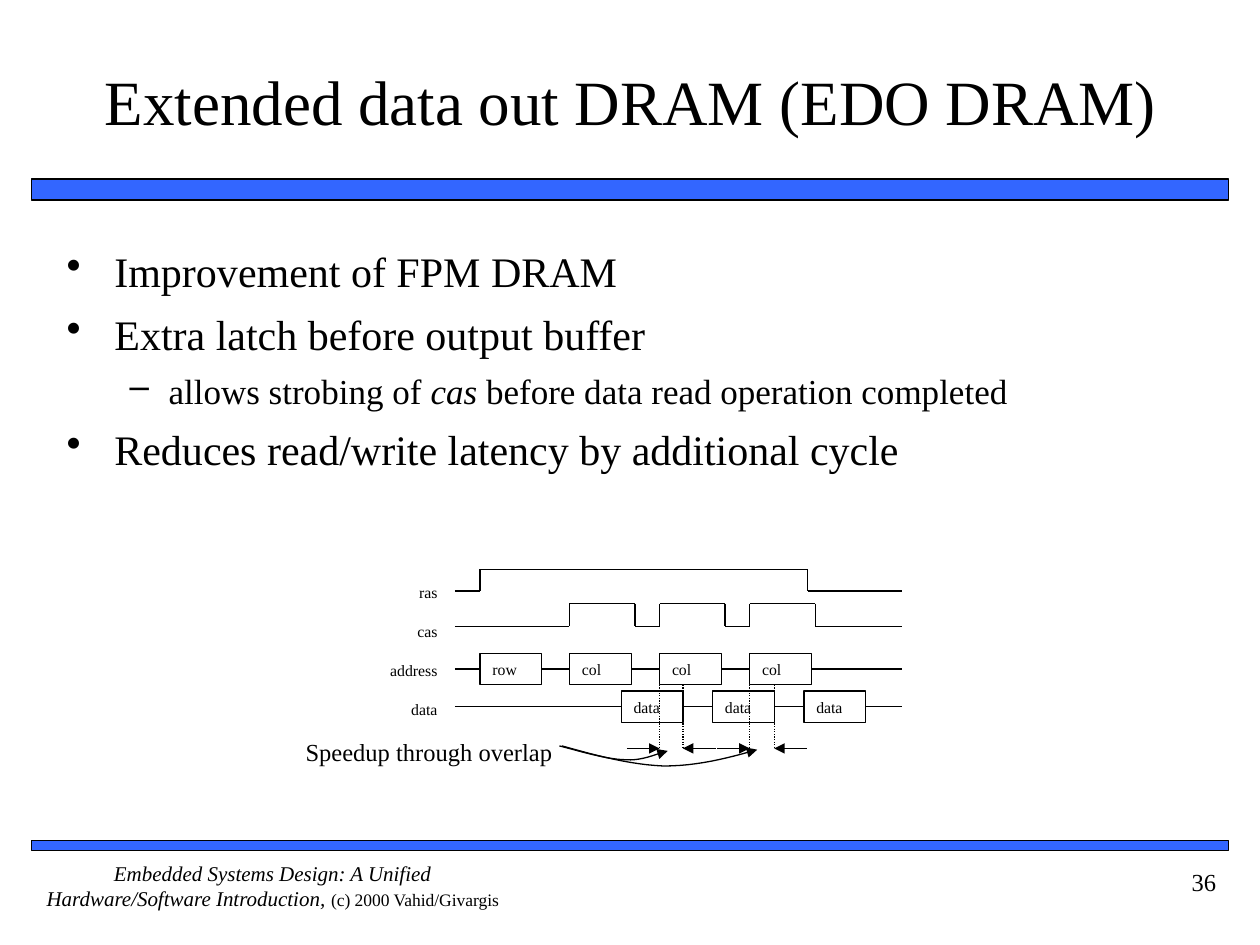
import itertools
from dataclasses import dataclass

import pptx
import pptx.util
import pptx.dml.color
import pptx.enum.dml
import pptx.enum.shapes
import pptx.enum.text
import pptx.oxml.ns
from lxml import etree

Inches, Pt = pptx.util.Inches, pptx.util.Pt
RGB = pptx.dml.color.RGBColor.from_string
ALIGN, ANCHOR = pptx.enum.text.PP_ALIGN, pptx.enum.text.MSO_ANCHOR
qn = pptx.oxml.ns.qn


@dataclass(frozen=True)
class Theme:
    font: str = "Times New Roman"
    ink: str = "000000"
    paper: str = "FFFFFF"
    band: str = "3366FF"
    title: int = 36
    body: tuple = (24, 20)
    note: int = 14
    footer: int = 12
    credit: int = 10
    label: int = 9
    wire: float = 0.75


T = Theme()
W, H = 10, 7.5
MARGIN = W / 40

# ---- content: a run is (text, italic) ----
TITLE = "Extended data out DRAM (EDO DRAM)"
BULLETS = [
    (0, [("Improvement of FPM DRAM", False)]),
    (0, [("Extra latch before output buffer", False)]),
    (1, [("allows strobing of ", False), ("cas", True),
         (" before data read operation completed", False)]),
    (0, [("Reduces read/write latency by additional cycle", False)]),
]
LEVELS = [("•", 0.38, 0.38, 7), ("–", 0.81, 0.31, 6)]  # mark, indent, hang, space
BOOK = "Embedded Systems Design: A Unified Hardware/Software Introduction, "
COPYRIGHT = "(c) 2000 Vahid/Givargis"
PAGE = "36"
SIGNALS = ["ras", "cas", "address", "data"]
OVERLAP = "Speedup through overlap"

# ---- timing diagram grid ----
START, END = 3.61, 7.16
ROW_X = 3.81
COL_X = [4.52 + 0.715 * i for i in range(3)]
DATA_X = [4.93 + 0.725 * i for i in range(3)]
PULSE = 0.52
RAS_LOW, RAS_HIGH, RAS_FALL = 4.69, 4.52, 6.41
CAS_LOW, CAS_HIGH = 4.97, 4.79
ADDRESS_Y, DATA_Y = 5.31, 5.61
BOX_W, BOX_H = 0.49, 0.25
ARROW_Y, ARROW_LEN = 5.94, 0.26
CURVES = [
    [(4.44, 5.92), (4.63, 5.97), (4.83, 6.03), (4.97, 6.03),
     (5.11, 6.04), (5.24, 5.97), (5.3, 5.96)],
    [(4.46, 5.92), (4.74, 6), (5.01, 6.07), (5.27, 6.08),
     (5.53, 6.08), (5.77, 6.02), (6.01, 5.95)],
]

prs = pptx.Presentation()
prs.slide_width, prs.slide_height = Inches(W), Inches(H)
s = prs.slides.add_slide(prs.slide_layouts[6])


def add_run(p, text, size, italic=False):
    r = p.add_run()
    r.text = text
    r.font.name, r.font.size, r.font.italic = T.font, Pt(size), italic
    r.font.color.rgb = RGB(T.ink)


def set_frame(sp, pad=(0.1, 0.05), anchor=ANCHOR.TOP):
    tf = sp.text_frame
    tf.word_wrap, tf.vertical_anchor = True, anchor
    tf.margin_left = tf.margin_right = Inches(pad[0])
    tf.margin_top = tf.margin_bottom = Inches(pad[1])
    return tf


def text_box(x, y, w, h, **frame):
    sp = s.shapes.add_textbox(Inches(x), Inches(y), Inches(w), Inches(h))
    return set_frame(sp, **frame)


def rect(x, y, w, h, fill, line=None):
    sp = s.shapes.add_shape(pptx.enum.shapes.MSO_SHAPE.RECTANGLE,
                            Inches(x), Inches(y), Inches(w), Inches(h))
    sp.shadow.inherit = False
    sp.fill.solid()
    sp.fill.fore_color.rgb = RGB(fill)
    if line:
        ink_line(sp, line)
    else:
        sp.line.fill.background()
    return sp


def label_rect(x, y, w, h, lines, size, align, line=None, gap=0):
    tf = set_frame(rect(x, y, w, h, T.paper, line))
    for i, text in enumerate(lines):
        p = tf.add_paragraph() if i else tf.paragraphs[0]
        p.alignment = align
        if i:
            p.space_before = Pt(gap)
        add_run(p, text, size)


def ink_line(sp, width, arrow=False):
    sp.line.color.rgb = RGB(T.ink)
    sp.line.width = Pt(width)
    if arrow:
        etree.SubElement(sp.line._get_or_add_ln(), qn("a:tailEnd"), type="triangle")


def wire(a, b, arrow=False, dotted=False):
    ln = s.shapes.add_connector(pptx.enum.shapes.MSO_CONNECTOR.STRAIGHT,
                                *(Inches(v) for v in (*a, *b)))
    if dotted:
        ln.line.dash_style = pptx.enum.dml.MSO_LINE.ROUND_DOT
    ink_line(ln, T.wire, arrow)
    etree.SubElement(ln._element.spPr, qn("a:effectLst"))


def wave(points):
    for a, b in itertools.pairwise(points):
        wire(a, b)


def bus(y, cells):
    """Draw boxes on a line, with wire in the gaps between them."""
    left = START
    for x, text in cells:
        wire((left, y), (x, y))
        label_rect(x, y - BOX_H / 2, BOX_W, BOX_H, [text], T.label, ALIGN.LEFT, T.wire)
        left = x + BOX_W
    wire((left, y), (END, y))


def bezier(p0, p1, p2, p3, steps=12):
    for t in (i / steps for i in range(1, steps + 1)):
        u = 1 - t
        yield tuple(u**3 * a + 3 * u * u * t * b + 3 * u * t * t * c + t**3 * d
                    for a, b, c, d in zip(p0, p1, p2, p3))


def curved_arrow(pts):
    path_pts = itertools.chain(bezier(*pts[:4]), bezier(*pts[3:]))
    fb = s.shapes.build_freeform(*(Inches(v) for v in pts[0]))
    fb.add_line_segments([(Inches(x), Inches(y)) for x, y in path_pts], close=False)
    sp = fb.convert_to_shape()
    sp.shadow.inherit = False
    sp.fill.background()
    ink_line(sp, T.wire, arrow=True)


# ---- bands, footer, title ----
for y, h in ((1.42, 0.17), (6.67, 0.08)):
    rect(MARGIN, y, W - 2 * MARGIN, h, T.band, 1)
p = text_box(MARGIN, 6.83, 3.83, 0.5, pad=(0, 0)).paragraphs[0]
p.alignment = ALIGN.CENTER
add_run(p, BOOK, T.footer, True)
add_run(p, COPYRIGHT, T.credit)
p = text_box(W - MARGIN - 1, 6.83, 1, 0.5).paragraphs[0]
p.alignment = ALIGN.RIGHT
add_run(p, PAGE, T.note)
p = text_box(0.42, 0.17, 9.17, 1.25, pad=(0, 0.05), anchor=ANCHOR.MIDDLE).paragraphs[0]
p.alignment = ALIGN.CENTER
add_run(p, TITLE, T.title)

# ---- bullets ----
tf = text_box(0.43, 1.9, 9.17, 2.43)
for i, (level, runs) in enumerate(BULLETS):
    p = tf.add_paragraph() if i else tf.paragraphs[0]
    mark, indent, hang, space = LEVELS[level]
    p.level = level
    pPr = p._p.get_or_add_pPr()
    pPr.set("marL", str(Inches(indent)))
    pPr.set("indent", str(-Inches(hang)))
    etree.SubElement(pPr, qn("a:buChar"), char=mark)
    if i:
        p.space_before = Pt(space)
    for text, italic in runs:
        add_run(p, text, T.body[level], italic)

# ---- timing diagram ----
wave([(START, RAS_LOW), (ROW_X, RAS_LOW), (ROW_X, RAS_HIGH),
      (RAS_FALL, RAS_HIGH), (RAS_FALL, RAS_LOW), (END, RAS_LOW)])
pulses = [pt for x in COL_X for pt in ((x, CAS_LOW), (x, CAS_HIGH),
                                       (x + PULSE, CAS_HIGH), (x + PULSE, CAS_LOW))]
wave([(START, CAS_LOW), *pulses, (END, CAS_LOW)])
bus(ADDRESS_Y, [(ROW_X, "row")] + [(x, "col") for x in COL_X])
bus(DATA_Y, [(x, "data") for x in DATA_X])
label_rect(2.27, 5.8, 2.27, 0.25, [OVERLAP], T.note, ALIGN.CENTER)
for col, data in zip(COL_X[1:], DATA_X):
    for x, outer in ((col, col - ARROW_LEN), (data + BOX_W, data + BOX_W + ARROW_LEN)):
        wire((x, ADDRESS_Y + BOX_H / 2), (x, ARROW_Y), dotted=True)
        wire((outer, ARROW_Y), (x, ARROW_Y), arrow=True)
for pts in CURVES:
    curved_arrow(pts)
label_rect(2.95, 4.58, 0.62, 1.23, SIGNALS, T.label, ALIGN.RIGHT, gap=11.4)

prs.save("out.pptx")
